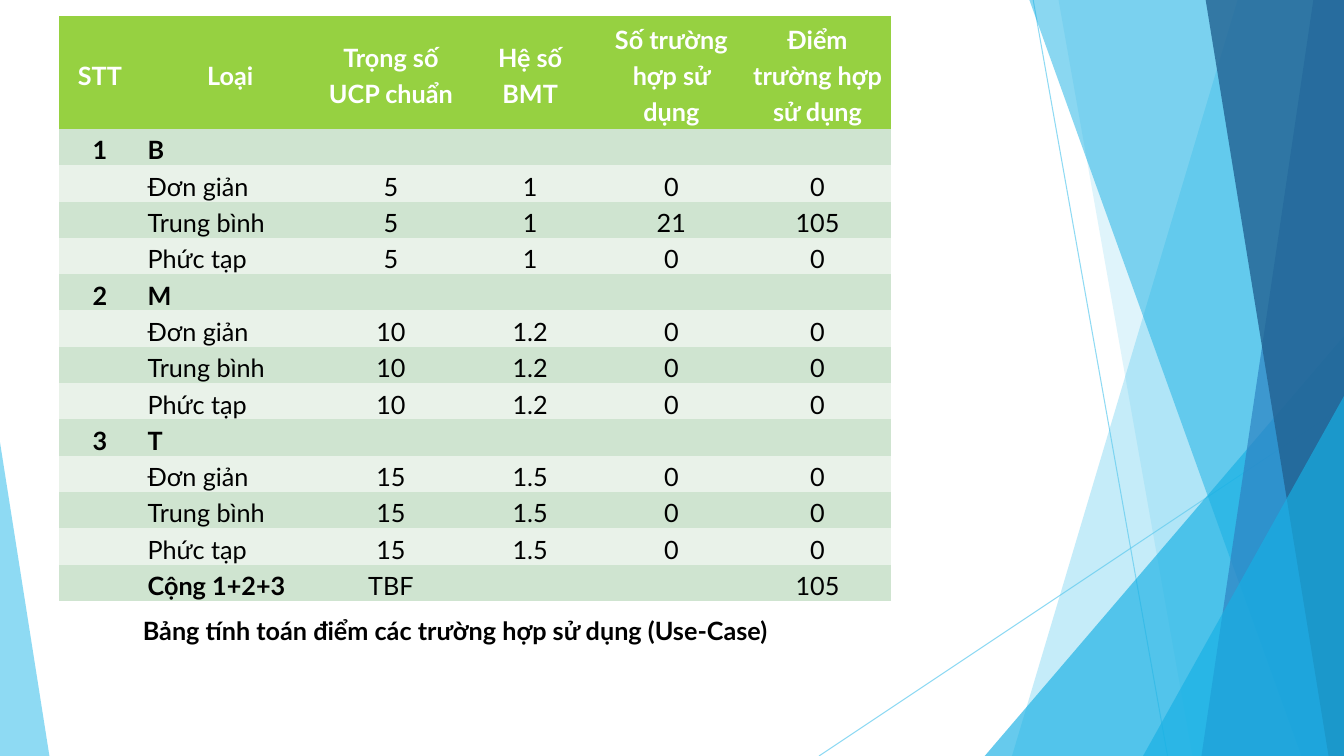
from lxml.etree import SubElement
from pptx import Presentation
from pptx.dml.color import RGBColor
from pptx.enum.shapes import MSO_CONNECTOR, MSO_SHAPE
from pptx.enum.text import MSO_ANCHOR, MSO_AUTO_SIZE, PP_ALIGN
from pptx.oxml.ns import qn
from pptx.util import Pt

SKY = RGBColor(0x5F, 0xCB, 0xEF)
CYAN = RGBColor(0x17, 0xB0, 0xE4)
BLUE = RGBColor(0x2E, 0x83, 0xC3)
NAVY = RGBColor(0x22, 0x62, 0x92)
GREEN = RGBColor(0x96, 0xD1, 0x41)
BAND_DARK = RGBColor(0xCF, 0xE4, 0xD0)
BAND_LIGHT = RGBColor(0xE9, 0xF2, 0xE9)
WHITE = RGBColor(0xFF, 0xFF, 0xFF)
BLACK = RGBColor(0, 0, 0)

WIDTH, HEIGHT = 960, 540
NO_STYLE = "{2D5ABB26-0587-4C30-8999-92F81FD0307C}"


class SlideBuilder:
    font_name = "Lato"
    font_size = 18

    def __init__(self, slide):
        self.slide = slide
        self.shapes = slide.shapes

    def set_alpha(self, shape, percent):
        color = next(shape._element.spPr.iter(qn("a:srgbClr")))
        SubElement(color, qn("a:alpha")).set("val", str(percent * 1000))

    def paint(self, shape, color, percent):
        shape.shadow.inherit = False
        shape.fill.solid()
        shape.fill.fore_color.rgb = color
        shape.line.fill.background()
        self.set_alpha(shape, percent)

    def line(self, x1, y1, x2, y2):
        line = self.shapes.add_connector(
            MSO_CONNECTOR.STRAIGHT, Pt(x1), Pt(y1), Pt(x2), Pt(y2))
        line.line.color.rgb = SKY
        line.line.width = Pt(0.75)
        self.set_alpha(line, 70)
        SubElement(line._element.spPr, qn("a:effectLst"))

    def ribbon(self, top_x, bottom_x, color, percent):
        """Fill from a slanted left edge to the right side of the slide."""
        top = -0.6
        outline = self.shapes.build_freeform(Pt(top_x), Pt(top))
        outline.add_line_segments(
            [(Pt(x), Pt(y)) for x, y in
             ((WIDTH, top), (WIDTH, HEIGHT), (bottom_x, HEIGHT))])
        self.paint(outline.convert_to_shape(), color, percent)

    def triangle(self, left, top, width, apex, color, percent):
        """Triangle standing on the bottom edge of the slide."""
        shape = self.shapes.add_shape(
            MSO_SHAPE.ISOSCELES_TRIANGLE,
            Pt(left), Pt(top), Pt(width), Pt(HEIGHT - top))
        shape.adjustments[0] = apex
        self.paint(shape, color, percent)

    def style(self, paragraph, color, bold, align):
        paragraph.alignment = align
        font = paragraph.font
        font.name, font.size = self.font_name, Pt(self.font_size)
        font.bold, font.color.rgb = bold, color

    def caption(self, text, left, top, width, height):
        box = self.shapes.add_textbox(Pt(left), Pt(top), Pt(width), Pt(height))
        frame = box.text_frame
        frame.word_wrap = True
        frame.auto_size = MSO_AUTO_SIZE.SHAPE_TO_FIT_TEXT
        frame.text = text
        self.style(frame.paragraphs[0], BLACK, True, PP_ALIGN.CENTER)

    def cell(self, cell, text, fill, color, bold, align, anchor):
        cell.fill.solid()
        cell.fill.fore_color.rgb = fill
        cell.margin_left = cell.margin_right = Pt(5)
        cell.margin_top = cell.margin_bottom = 0
        cell.vertical_anchor = anchor
        cell.text = text
        paragraph = cell.text_frame.paragraphs[0]
        self.style(paragraph, color, bold, align)
        paragraph.line_spacing = 1.2
        paragraph.space_before = paragraph.space_after = Pt(6)

    def table(self, rows, left, top, widths, heights):
        table = self.shapes.add_table(
            len(rows), len(widths), Pt(left), Pt(top),
            Pt(sum(widths)), Pt(sum(heights))).table
        table._tbl.tblPr.find(qn("a:tableStyleId")).text = NO_STYLE
        for column, width in zip(table.columns, widths):
            column.width = Pt(width)
        for r, (values, height) in enumerate(zip(rows, heights)):
            table.rows[r].height = Pt(height)
            header = r == 0
            fill = GREEN if header else BAND_DARK if r % 2 else BAND_LIGHT
            for c, value in enumerate(values):
                # Group titles and the total's label are bold
                bold = header or c == 0 or (
                    c == 1 and (bool(values[0]) or r == len(rows) - 1))
                self.cell(
                    table.cell(r, c), value, fill,
                    WHITE if header else BLACK, bold,
                    PP_ALIGN.JUSTIFY if c == 1 and not header else PP_ALIGN.CENTER,
                    MSO_ANCHOR.MIDDLE if header or c == 0 else MSO_ANCHOR.TOP)


def use_case_rows():
    rows = [("STT", "Loại", "Trọng số UCP chuẩn", "Hệ số BMT",
             "Số trường hợp sử dụng", "Điểm trường hợp sử dụng")]
    groups = [("B", "5", "1", ("21", "105")),
              ("M", "10", "1.2", ("0", "0")),
              ("T", "15", "1.5", ("0", "0"))]
    for number, (kind, weight, factor, medium) in enumerate(groups, 1):
        rows.append((str(number), kind, "", "", "", ""))
        rows.append(("", "Đơn giản", weight, factor, "0", "0"))
        rows.append(("", "Trung bình", weight, factor, *medium))
        rows.append(("", "Phức tạp", weight, factor, "0", "0"))
    rows.append(("", "Cộng 1+2+3", "TBF", "", "", "105"))
    return rows


def main():
    presentation = Presentation()
    presentation.slide_width, presentation.slide_height = Pt(WIDTH), Pt(HEIGHT)
    builder = SlideBuilder(
        presentation.slides.add_slide(presentation.slide_layouts[6]))

    # Faceted background
    builder.line(738, 0, 834, HEIGHT)
    builder.line(WIDTH, 290, 585, HEIGHT)
    builder.ribbon(884.2, 722.9, SKY, 36)
    builder.ribbon(756, 851.8, SKY, 20)
    builder.triangle(703.4, 240, 256.6, 1, CYAN, 66)
    builder.ribbon(735.1, 929.5, CYAN, 50)
    builder.ribbon(938.2, 858.2, BLUE, 70)
    builder.ribbon(861.1, 949, NAVY, 80)
    builder.triangle(816.5, 283, 143.5, 1, CYAN, 66)
    builder.triangle(0, 316, 35.3, 0, SKY, 70)

    # Caption under the table
    builder.caption("Bảng tính toán điểm các trường hợp sử dụng (Use-Case)",
                    28.1, 436.3, 594, 29)

    # Use-case points
    rows = use_case_rows()
    builder.table(rows, 42.2, 11.5,
                  widths=[58.3, 128, 101.5, 97.4, 104.4, 104.4],
                  heights=[80.6] + [25.92] * (len(rows) - 1))

    presentation.save("out.pptx")


if __name__ == "__main__":
    main()
